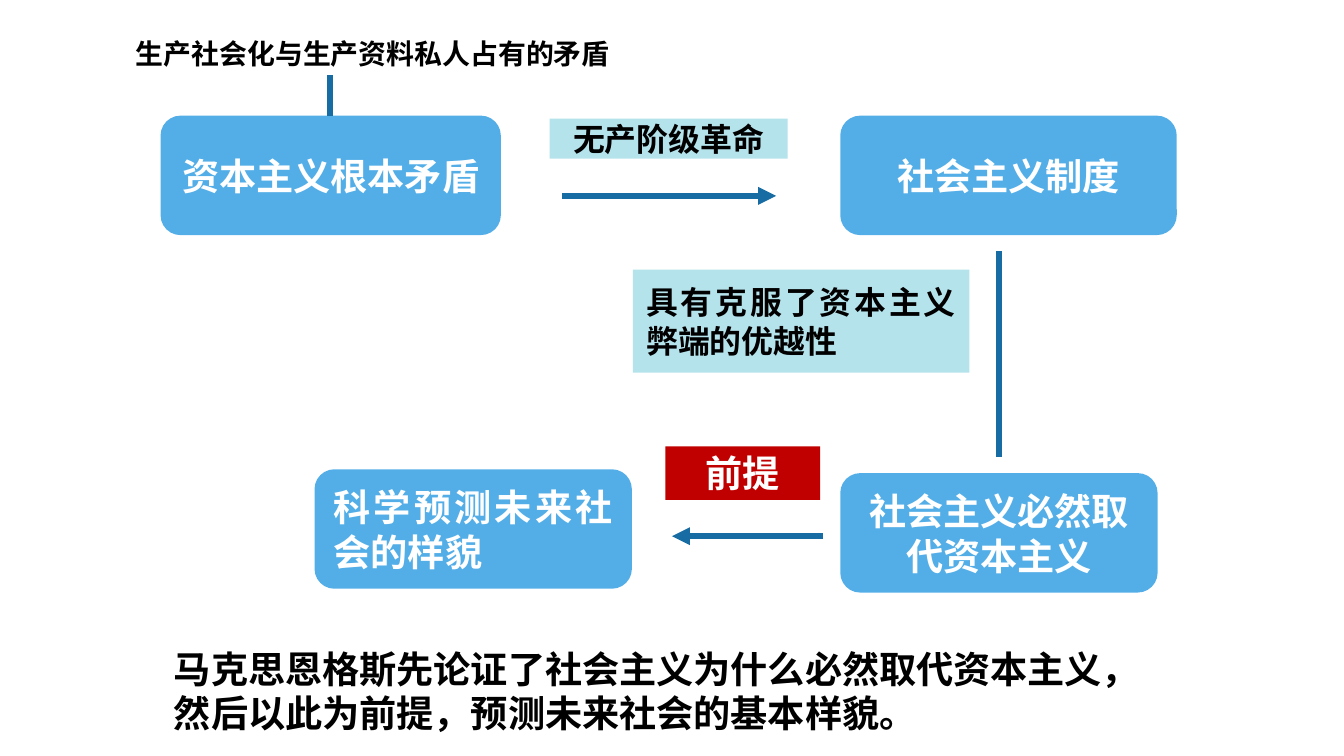
from lxml import etree
from pptx import Presentation
from pptx.dml.color import RGBColor
from pptx.enum import shapes, text
from pptx.oxml.ns import qn
from pptx.util import Inches, Pt

BLUE = RGBColor(0x53, 0xAE, 0xE8)
DARK_BLUE = RGBColor(0x16, 0x6C, 0xA3)
PALE = RGBColor(0xB5, 0xE3, 0xEC)
RED = RGBColor(0xC0, 0x00, 0x00)
WHITE = RGBColor(0xFF, 0xFF, 0xFF)
BLACK = RGBColor(0x00, 0x00, 0x00)
LEFT, CENTER, JUSTIFY = (text.PP_ALIGN.LEFT, text.PP_ALIGN.CENTER,
                         text.PP_ALIGN.JUSTIFY)
ROUND = shapes.MSO_SHAPE.ROUNDED_RECTANGLE
RECT = shapes.MSO_SHAPE.RECTANGLE


class Diagram:
    font = "Calibri"
    line_width = Pt(4.5)

    def __init__(self, slide):
        self.slide = slide

    def set_text(self, sp, words, size, color, align, anchor, wrap=True):
        tf = sp.text_frame
        tf.word_wrap = wrap
        tf.vertical_anchor = anchor
        tf.margin_left = tf.margin_right = Inches(0.14)
        tf.margin_top = tf.margin_bottom = Inches(0.07)
        p = tf.paragraphs[0]
        p.text = words
        p.alignment = align
        p.font.name, p.font.size, p.font.bold = self.font, Pt(size), True
        p.font.color.rgb = color

    def box(self, at, words, kind=ROUND, fill=BLUE, size=28, color=WHITE,
            align=CENTER):
        sp = self.slide.shapes.add_shape(kind, *map(Inches, at))
        sp.shadow.inherit = False
        sp.fill.solid()
        sp.fill.fore_color.rgb = fill
        sp.line.fill.background()
        self.set_text(sp, words, size, color, align, text.MSO_ANCHOR.MIDDLE)

    def note(self, at, words, size, wrap=True):
        sp = self.slide.shapes.add_textbox(*map(Inches, at))
        self.set_text(sp, words, size, BLACK, LEFT, text.MSO_ANCHOR.TOP, wrap)
        sp.text_frame.auto_size = text.MSO_AUTO_SIZE.SHAPE_TO_FIT_TEXT

    def line(self, start, end, arrow=False):
        cx = self.slide.shapes.add_connector(
            shapes.MSO_CONNECTOR.STRAIGHT, *map(Inches, start + end))
        cx.line.color.rgb = DARK_BLUE
        cx.line.width = self.line_width
        props = cx.element.spPr
        if arrow:
            etree.SubElement(props.find(qn("a:ln")), qn("a:tailEnd"),
                             type="triangle")
        etree.SubElement(props, qn("a:effectLst"))


prs = Presentation()
prs.slide_width, prs.slide_height = Inches(14.06), Inches(7.91)
d = Diagram(prs.slides.add_slide(prs.slide_layouts[6]))

# Main steps
d.box((1.68, 1.21, 3.56, 1.25), "资本主义根本矛盾")
d.box((8.79, 1.21, 3.52, 1.25), "社会主义制度")
d.box((8.79, 4.95, 3.32, 1.25), "社会主义必然取代资本主义")
d.box((3.29, 4.91, 3.32, 1.25), "科学预测未来社会的样貌", align=JUSTIFY)

# Links between the steps
d.line((3.45, 0.79), (3.45, 1.21))
d.line((5.88, 2.05), (8.12, 2.05), arrow=True)
d.line((10.45, 2.63), (10.45, 4.78))
d.line((8.61, 5.61), (7.03, 5.61), arrow=True)

# Labels on the links
d.box((5.75, 1.24, 2.49, 0.42), "无产阶级革命", RECT, PALE, 24, BLACK)
d.box((6.62, 2.82, 3.52, 1.08), "具有克服了资本主义弊端的优越性",
      RECT, PALE, 24, BLACK, JUSTIFY)
d.box((6.96, 4.67, 1.62, 0.56), "前提", RECT, RED)

# Explanation and conclusion
d.note((1.28, 0.31, 5.31, 0.5), "生产社会化与生产资料私人占有的矛盾", 21,
       wrap=False)
d.note((1.68, 6.69, 10.44, 1.08),
       "马克思恩格斯先论证了社会主义为什么必然取代资本主义，"
       "然后以此为前提，预测未来社会的基本样貌。", 28)

prs.save("out.pptx")
